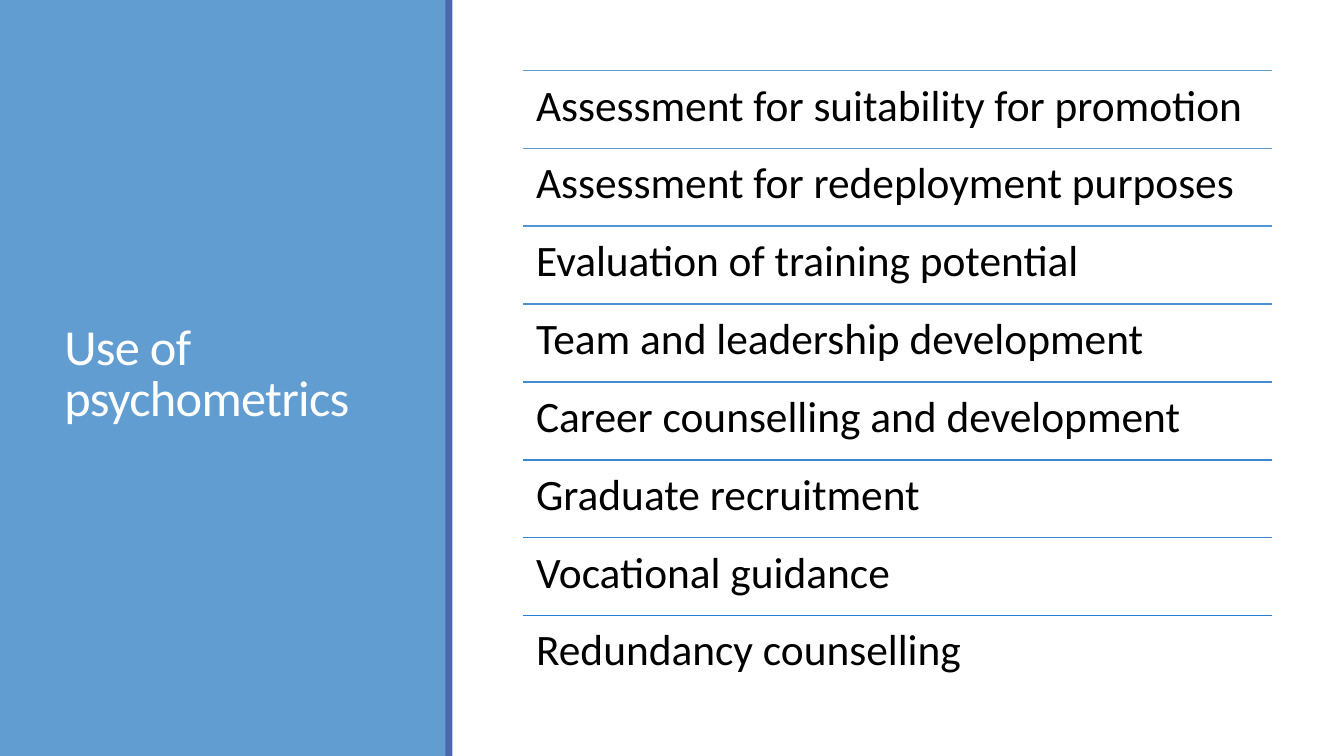
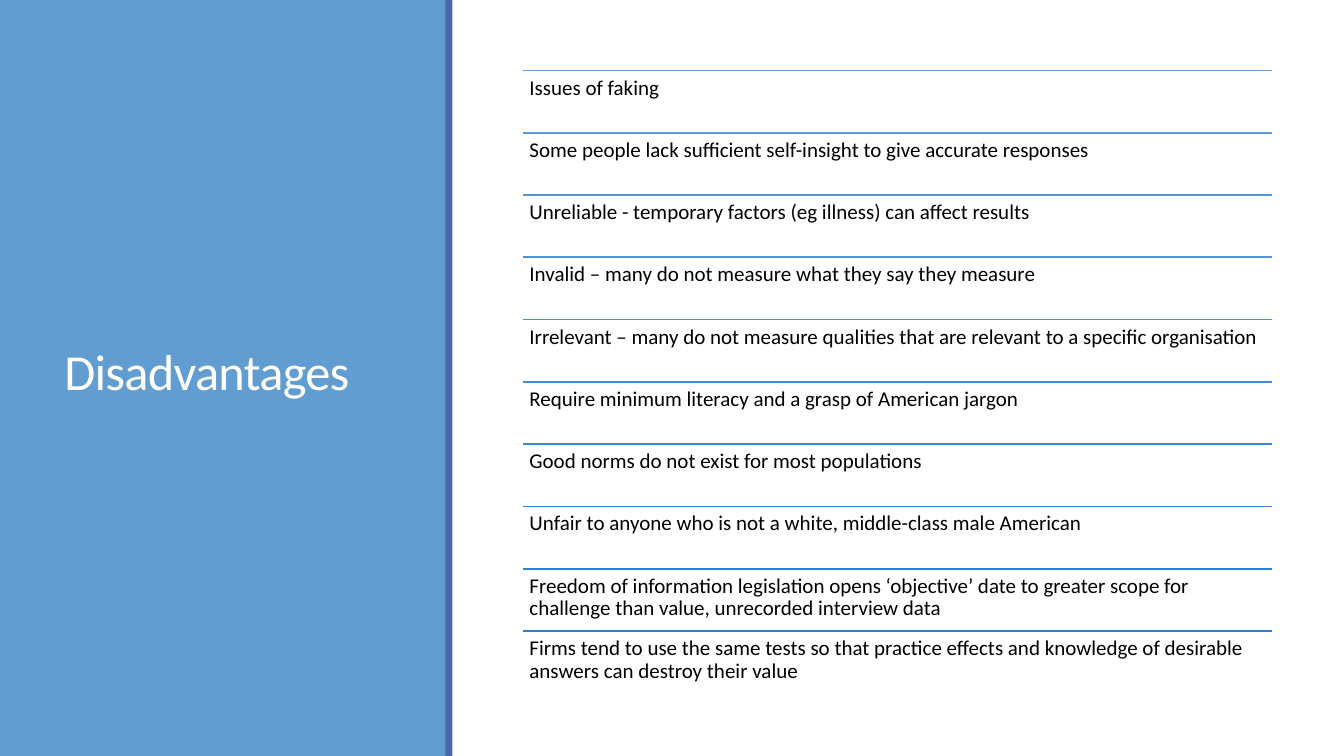
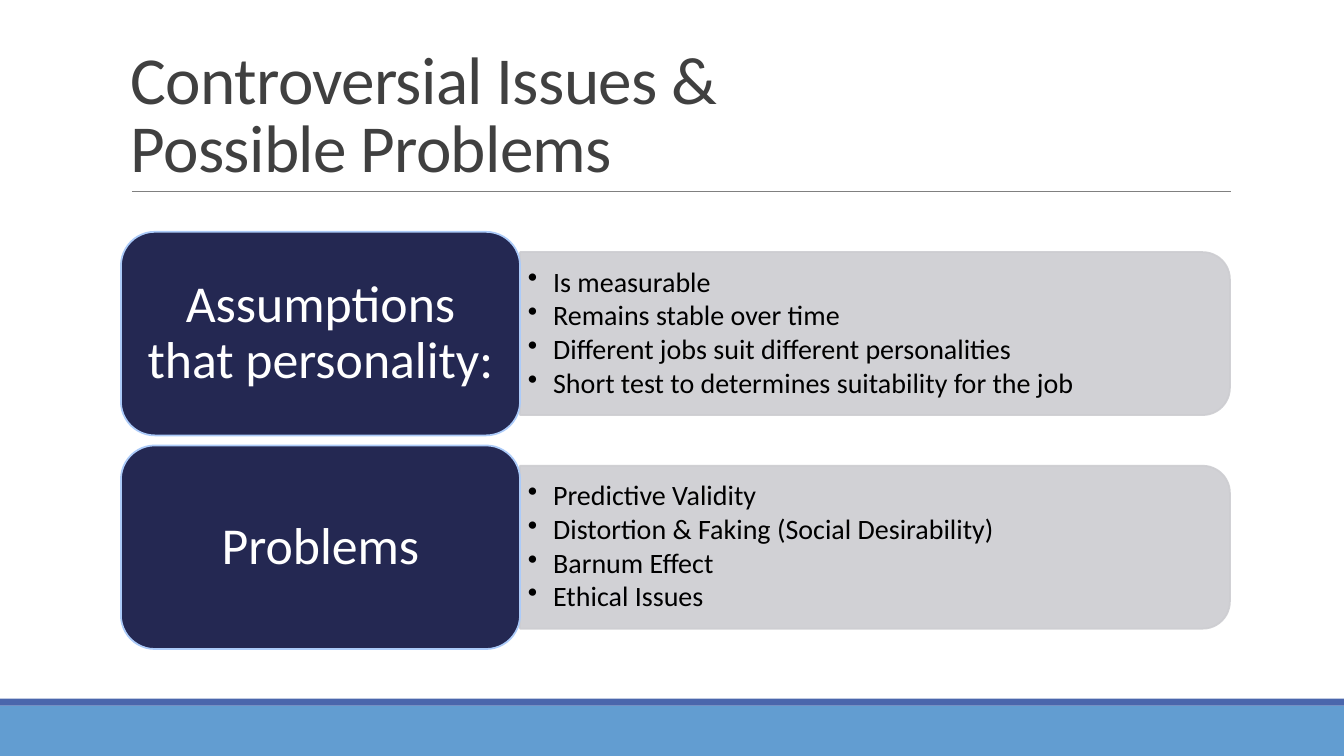
"""Build three slides on psychometric testing: uses, disadvantages and issues."""
import pptx
import pptx.util
import pptx.dml.color
import pptx.enum.shapes
import pptx.enum.text
import pptx.oxml.ns
from lxml import etree

Pt = pptx.util.Pt
SHAPE = pptx.enum.shapes.MSO_SHAPE
ANCHOR = pptx.enum.text.MSO_ANCHOR
ALIGN = pptx.enum.text.PP_ALIGN

COLORS = {
    "band": "629DD1", "accent": "4A66AC", "rule_end": "297FD5",
    "rule": "808080", "title": "404040", "text": "000000", "white": "FFFFFF",
    "panel": "CDCDD1", "node": "242852", "node_line": "ACCBF9",
}
FONT = "Calibri"
WIDTH, HEIGHT = 960, 540

LIST_SLIDES = [
    ("Use of psychometrics", 31, [
        "Assessment for suitability for promotion",
        "Assessment for redeployment purposes",
        "Evaluation of training potential",
        "Team and leadership development",
        "Career counselling and development",
        "Graduate recruitment",
        "Vocational guidance",
        "Redundancy counselling",
    ]),
    ("Disadvantages", 15, [
        "Issues of faking",
        "Some people lack sufficient self-insight to give accurate responses",
        "Unreliable - temporary factors (eg illness) can affect results",
        "Invalid – many do not measure what they say they measure",
        "Irrelevant – many do not measure qualities that are relevant to a specific organisation",
        "Require minimum literacy and a grasp of American jargon",
        "Good norms do not exist for most populations",
        "Unfair to anyone who is not a white, middle-class male American",
        "Freedom of information legislation opens ‘objective’ date to greater scope for "
        "challenge than value, unrecorded interview data",
        "Firms tend to use the same tests so that practice effects and knowledge of "
        "desirable answers can destroy their value",
    ]),
]
ISSUES_TITLE = "Controversial Issues &\vPossible Problems"
ISSUES = [
    ("Assumptions that personality:", [
        "Is measurable",
        "Remains stable over time",
        "Different jobs suit different personalities",
        "Short test to determines suitability for the job",
    ]),
    ("Problems", [
        "Predictive Validity",
        "Distortion & Faking (Social Desirability)",
        "Barnum Effect",
        "Ethical Issues",
    ]),
]


def rgb(value):
    return pptx.dml.color.RGBColor.from_string(value)


def mix(start, end, share):
    pairs = zip(bytes.fromhex(start), bytes.fromhex(end))
    return bytes(round(a + (b - a) * share) for a, b in pairs).hex().upper()


def add_block(page, kind, left, top, width, height, fill, line=None):
    block = page.shapes.add_shape(kind, Pt(left), Pt(top), Pt(width), Pt(height))
    block.shadow.inherit = False
    block.fill.solid()
    block.fill.fore_color.rgb = rgb(COLORS[fill])
    if line:
        block.line.color.rgb = rgb(COLORS[line])
        block.line.width = Pt(1.25)
    else:
        block.line.fill.background()
    return block


def add_rule(page, left, right, top, color, weight):
    rule = page.shapes.add_connector(
        pptx.enum.shapes.MSO_CONNECTOR.STRAIGHT, Pt(left), Pt(top), Pt(right), Pt(top))
    rule.line.color.rgb = rgb(color)
    rule.line.width = Pt(weight)
    etree.SubElement(rule._element.spPr, pptx.oxml.ns.qn("a:effectLst"))


def add_box(page, left, top, width, height):
    return page.shapes.add_textbox(Pt(left), Pt(top), Pt(width), Pt(height))


def write(shape, lines, size, color, anchor, insets, spacing=0.9, after=0,
          align=ALIGN.LEFT, bullet=False, tracking=None):
    frame = shape.text_frame
    frame.word_wrap = True
    frame.vertical_anchor = anchor
    frame.margin_left = frame.margin_right = Pt(insets[0])
    frame.margin_top = frame.margin_bottom = Pt(insets[1])
    for index, line in enumerate(lines):
        para = frame.add_paragraph() if index else frame.paragraphs[0]
        para.text = line
        para.alignment = align
        para.line_spacing = spacing
        para.space_after = Pt(after)
        if bullet:
            props = para._p.get_or_add_pPr()
            props.set("marL", str(Pt(18)))
            props.set("indent", str(-Pt(18)))
            etree.SubElement(props, pptx.oxml.ns.qn("a:buChar"), char="•")
        for span in para.runs:
            span.font.name = FONT
            span.font.size = Pt(size)
            span.font.color.rgb = rgb(COLORS[color])
            if tracking:
                span._r.get_or_add_rPr().set("spc", str(tracking))


def add_title(page, text, bounds, size, color, anchor):
    write(add_box(page, *bounds), [text], size, color, anchor, (7.2, 3.6),
          spacing=0.85, tracking=-50)


def add_list_slide(page, title, size, items):
    left, right, top, bottom = 373.7, 908.6, 50.4, 495.2
    add_block(page, SHAPE.RECTANGLE, 0, 0, 319, HEIGHT, "band")
    add_title(page, title, (38.9, 41, 242.6, 454.3), 36, "white", ANCHOR.MIDDLE)
    add_block(page, SHAPE.RECTANGLE, 318.2, 0, 5, HEIGHT, "accent")
    step = (bottom - top) / len(items)
    inset = size * 0.3
    for index, item in enumerate(items):
        row_top = top + index * step
        color = mix(COLORS["band"], COLORS["rule_end"], index / (len(items) - 1))
        add_rule(page, left, right, row_top, color, 1.25)
        row = add_box(page, left, row_top, right - left, step)
        write(row, [item], size, "text", ANCHOR.TOP, (inset, inset))


def add_panel(page, left, middle, width, height):
    panel = add_block(page, SHAPE.ROUND_2_SAME_RECTANGLE,
                      left + (width - height) / 2, middle - width / 2,
                      height, width, "panel", "panel")
    panel.rotation = 90
    for color in panel._element.spPr.iter(pptx.oxml.ns.qn("a:srgbClr")):
        etree.SubElement(color, pptx.oxml.ns.qn("a:alpha"), val="90000")


def add_issues_slide(page, title, groups):
    left, top, width, height, gap = 86.4, 165.6, 285.1, 145.4, 7.2
    add_block(page, SHAPE.RECTANGLE, 0, 504, WIDTH, 36, "band")
    add_block(page, SHAPE.RECTANGLE, 0, 499, WIDTH, 5, "accent")
    add_rule(page, 94.3, 879, 136.6, COLORS["rule"], 0.5)
    add_title(page, title, (86.4, 22.5, 792, 114.2), 48, "title", ANCHOR.BOTTOM)
    for index, (name, points) in enumerate(groups):
        node_top = top + index * (height + gap)
        middle = node_top + height / 2
        add_panel(page, left + width, middle, 507, 116.4)
        write(add_box(page, left + width, middle - 52.5, 501, 105), points, 20, "text",
              ANCHOR.MIDDLE, (5.6, 2.8), after=2.5, bullet=True)
        node = add_block(page, SHAPE.ROUNDED_RECTANGLE, left, node_top, width, height,
                         "node", "node_line")
        write(node, [name], 37, "white", ANCHOR.MIDDLE, (10.8, 5.6), align=ALIGN.CENTER)


def main():
    deck = pptx.Presentation()
    deck.slide_width, deck.slide_height = Pt(WIDTH), Pt(HEIGHT)
    blank = deck.slide_layouts[6]
    for title, size, items in LIST_SLIDES:
        add_list_slide(deck.slides.add_slide(blank), title, size, items)
    add_issues_slide(deck.slides.add_slide(blank), ISSUES_TITLE, ISSUES)
    deck.save("out.pptx")


if __name__ == "__main__":
    main()
